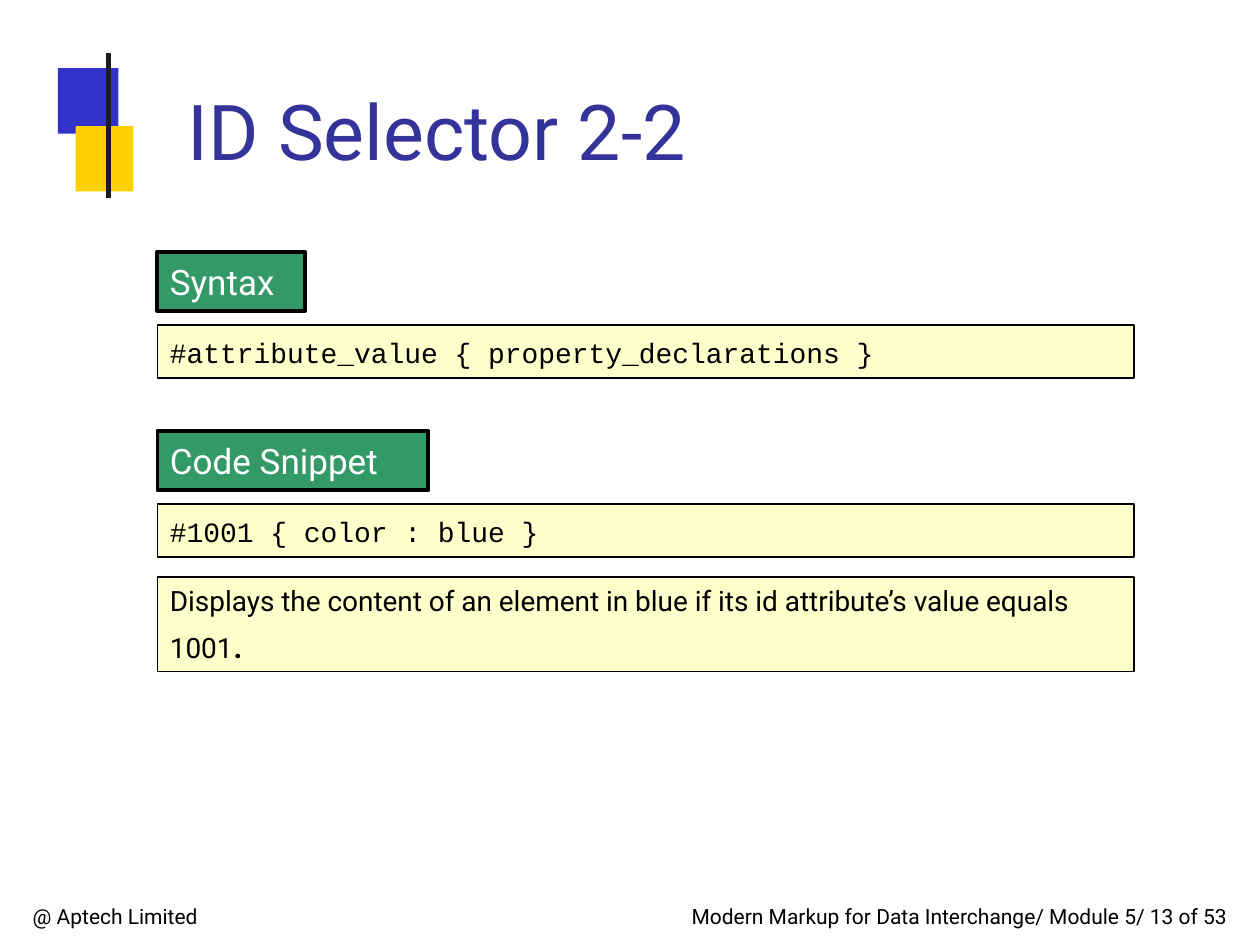
import pptx
import pptx.util
import pptx.dml.color
import pptx.enum.shapes
import pptx.enum.text
from lxml import etree

Inches = pptx.util.Inches
Pt = pptx.util.Pt
RECT = pptx.enum.shapes.MSO_SHAPE.RECTANGLE
LINE = pptx.enum.shapes.MSO_CONNECTOR.STRAIGHT
SANS = "Roboto"
MONO = "Courier New"


def color(code):
    return pptx.dml.color.RGBColor.from_string(code)


def block(slide, left, top, width, height, fill, edge=0):
    shape = slide.shapes.add_shape(
        RECT, Inches(left), Inches(top), Inches(width), Inches(height))
    shape.shadow.inherit = False
    shape.fill.solid()
    shape.fill.fore_color.rgb = color(fill)
    if edge:
        shape.line.color.rgb = color("000000")
        shape.line.width = Pt(edge)
    else:
        shape.line.fill.background()
    return shape


def write(shape, text, size, ink="000000", face=SANS, left=0.01, top=0.02):
    frame = shape.text_frame
    frame.word_wrap = True
    frame.vertical_anchor = pptx.enum.text.MSO_ANCHOR.TOP
    frame.margin_left, frame.margin_top = Inches(left), Inches(top)
    frame.margin_right = frame.margin_bottom = 0
    para = frame.paragraphs[0]
    para.alignment = pptx.enum.text.PP_ALIGN.LEFT
    para.add_run().text = text
    para.font.name = face
    para.font.size = Pt(size)
    para.font.color.rgb = color(ink)
    return para


def label(slide, text, left, top, width, height, size, ink="000000"):
    box = slide.shapes.add_textbox(
        Inches(left), Inches(top), Inches(width), Inches(height))
    write(box, text, size, ink)


def emblem(slide, left, top):
    block(slide, left, top + 0.12, 0.48, 0.52, "3333CC")
    block(slide, left + 0.14, top + 0.58, 0.46, 0.52, "FFCF01")
    mid = Inches(left + 0.4)
    bar = slide.shapes.add_connector(
        LINE, mid, Inches(top), mid, Inches(top + 1.15))
    bar.line.color.rgb = color("1C1C1C")
    bar.line.width = Pt(2.5)
    etree.SubElement(bar._element.spPr, pptx.oxml.ns.qn("a:effectLst"))


def sample(slide, left, top, width, name, tab, code):
    head = block(slide, left, top, tab, 0.47, "339966", 2.28)
    write(head, name, 20, "FFFFFF", left=0.1, top=0.07)
    body = block(slide, left, top + 0.58, width, 0.42, "FFFFCC", 0.96)
    write(body, code, 16, face=MONO, left=0.1, top=0.08)


def remark(slide, left, top, width, height, text):
    box = block(slide, left, top, width, height, "FFFFCC", 0.96)
    para = write(box, text, 16, left=0.1, top=0.05)
    stop = para.add_run()
    stop.text = "."
    stop.font.size = Pt(24)


def footer(slide, top):
    label(slide, "@ Aptech Limited", 0.25, top, 1.5, 0.23, 12)
    label(slide, "Modern Markup for Data Interchange/ Module 5/ 13 of 53",
          5.48, top, 4.4, 0.23, 12)


def main():
    deck = pptx.Presentation()
    deck.slide_width, deck.slide_height = Inches(10), Inches(7.5)
    slide = deck.slides.add_slide(deck.slide_layouts[6])
    left, width = 1.25, 7.75
    emblem(slide, 0.46, 0.42)
    label(slide, "ID Selector 2-2", 1.48, 0.64, 4.5, 0.76, 44, "333399")
    sample(slide, left, 2, width, "Syntax", 1.17,
           "#attribute_value { property_declarations }")
    sample(slide, left, 3.42, width, "Code Snippet", 2.15,
           "#1001 { color : blue }")
    remark(slide, left, 4.58, width, 0.75,
           "Displays the content of an element in blue "
           "if its id attribute’s value equals 1001")
    footer(slide, 7.15)
    deck.save("out.pptx")


if __name__ == "__main__":
    main()
